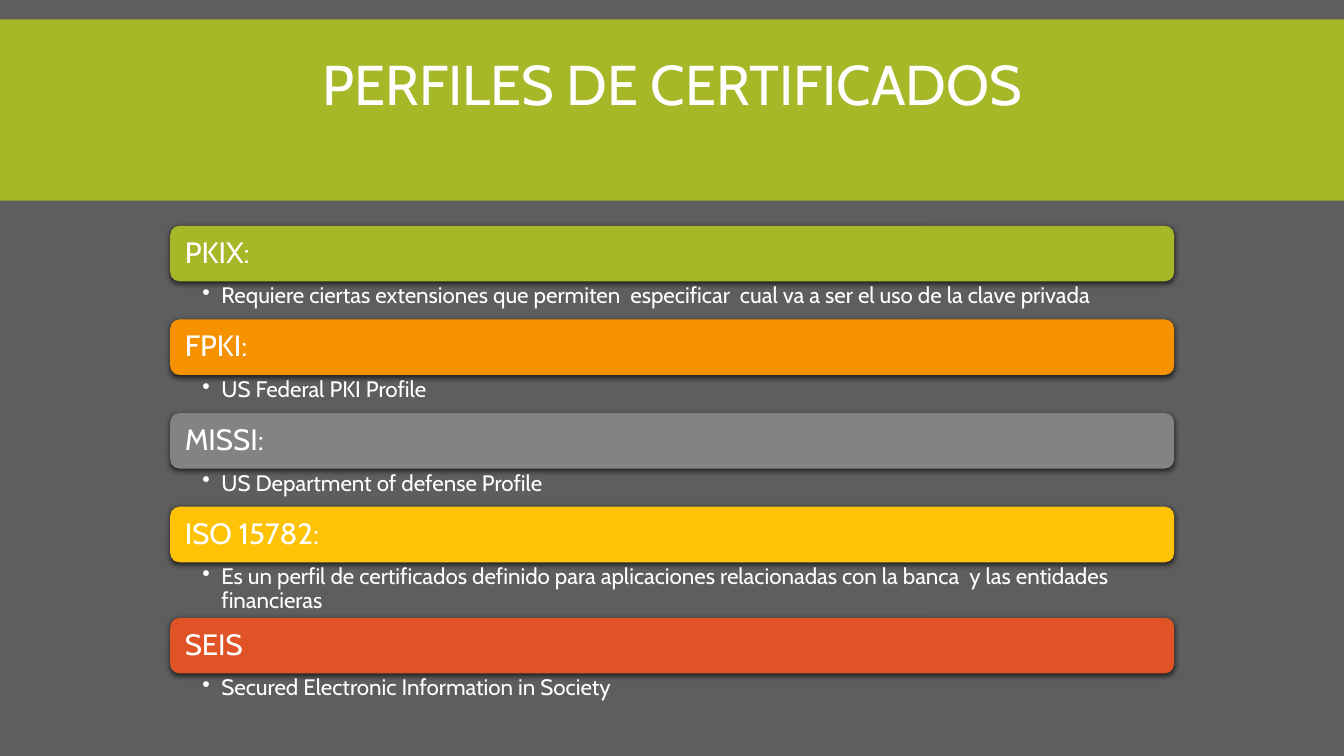
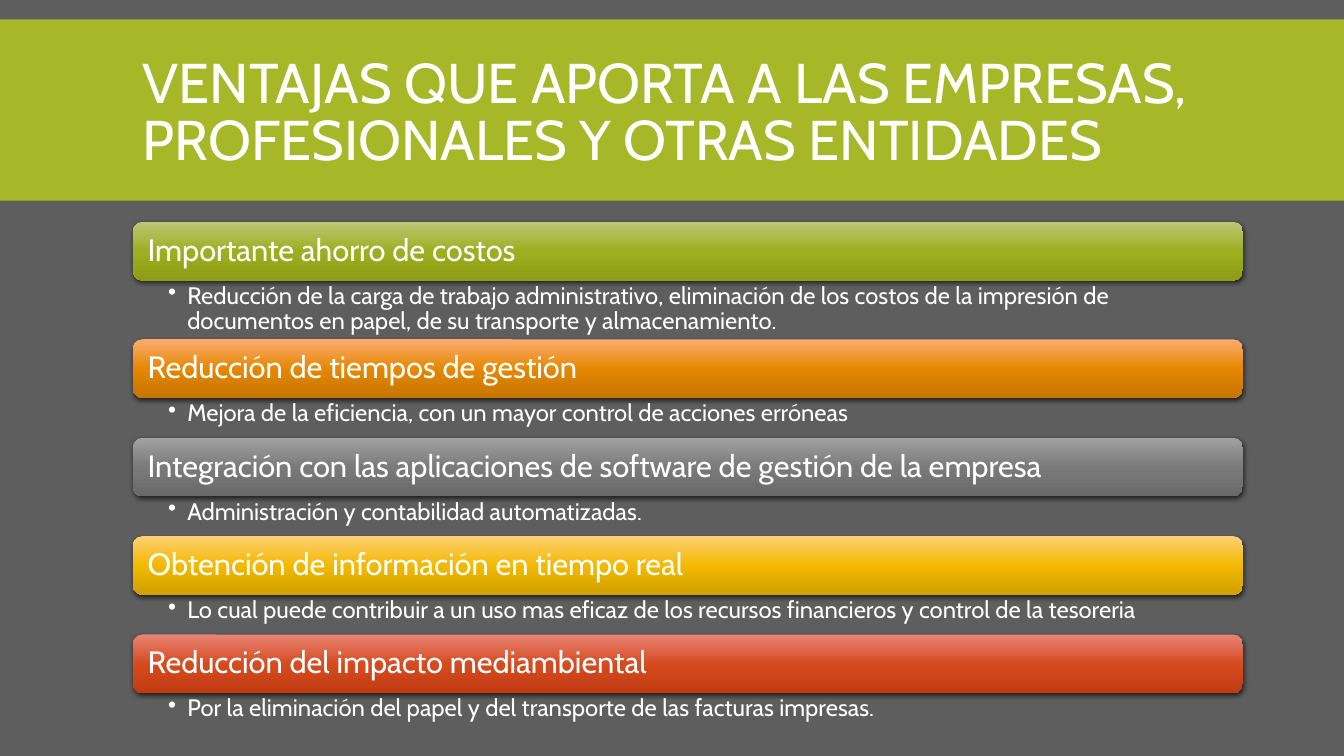
"""Two slides on certificate profiles and their business advantages."""
from copy import deepcopy
from dataclasses import dataclass

from lxml import etree
from pptx import Presentation
from pptx.dml.color import RGBColor
from pptx.enum import shapes, text
from pptx.oxml.ns import qn
from pptx.util import Cm, Pt


@dataclass(frozen=True)
class Theme:
    font: str = "Cabin"
    background: str = "5E5E5E"
    band: str = "A6B727"
    ink: str = "FFFFFF"
    title_size: int = 40
    flat: tuple = (("A6B727",), ("F69200",), ("838383",), ("FEC306",), ("DF5327",))
    glossy: tuple = (
        ("BBC975", "9DAE21", "8E9E14"),
        ("FCAC73", "E58800", "C57500"),
        ("A2A2A2", "7A7A7A", "696969"),
        ("FFD077", "F2B900", "D09F00"),
        ("E98576", "D44B20", "C13B10"),
    )


THEME = Theme()

SLIDES = [
    {
        "title": "PERFILES DE CERTIFICADOS",
        "title_box": (2.34, 1.02, 29.21, 2.41),
        "align": text.PP_ALIGN.CENTER,
        "fills": THEME.flat,
        "left": 4.29, "top": 5.69, "width": 25.3,
        "bar_height": 1.4, "note_height": 0.96,
        "note_insets": (0.81, 0.41),
        "bar_size": 21, "note_size": 16,
        "two_line_note": 3,
        "items": [
            ("PKIX:", "Requiere ciertas extensiones que permiten  especificar  cual va a ser el uso de la clave privada"),
            ("FPKI:", "US Federal PKI Profile"),
            ("MISSI:", "US Department of defense Profile"),
            ("ISO 15782:", "Es un perfil de certificados definido para aplicaciones relacionadas con la banca  y las entidades financieras"),
            ("SEIS", "Secured Electronic Information in Society"),
        ],
    },
    {
        "title": "VENTAJAS QUE APORTA A LAS EMPRESAS, PROFESIONALES Y OTRAS ENTIDADES",
        "title_box": (3.35, 0.79, 27.18, 4.19),
        "align": text.PP_ALIGN.LEFT,
        "fills": THEME.glossy,
        "left": 3.35, "top": 5.59, "width": 27.97,
        "bar_height": 1.48, "note_height": 1.0,
        "note_insets": (0.89, 0.43),
        "bar_size": 22, "note_size": 17,
        "two_line_note": 0,
        "items": [
            ("Importante ahorro de costos", "Reducción de la carga de trabajo administrativo, eliminación de los costos de la impresión de documentos en papel, de su transporte y almacenamiento."),
            ("Reducción de tiempos de gestión", "Mejora de la eficiencia, con un mayor control de acciones erróneas"),
            ("Integración con las aplicaciones de software de gestión de la empresa", "Administración y contabilidad automatizadas."),
            ("Obtención de información en tiempo real", "Lo cual puede contribuir a un uso mas eficaz de los recursos financieros y control de la tesoreria"),
            ("Reducción del impacto mediambiental", "Por la eliminación del papel y del transporte de las facturas impresas."),
        ],
    },
]


def color(value):
    return RGBColor.from_string(value)


def write(shape, content, size, anchor, insets, spacing, align=text.PP_ALIGN.LEFT, bullet=False):
    frame = shape.text_frame
    frame.text = content
    frame.word_wrap = True
    frame.auto_size = text.MSO_AUTO_SIZE.NONE
    frame.vertical_anchor = anchor
    frame.margin_left, frame.margin_top, frame.margin_right, frame.margin_bottom = map(Cm, insets)
    paragraph = frame.paragraphs[0]
    paragraph.alignment = align
    paragraph.line_spacing = spacing
    paragraph.space_before = Pt(0)
    if bullet:
        properties = paragraph._p.get_or_add_pPr()
        properties.set("marL", str(Cm(0.48)))
        properties.set("indent", str(-Cm(0.48)))
        etree.SubElement(properties, qn("a:buChar"), char="•")
    font = paragraph.runs[0].font
    font.name = THEME.font
    font.size = Pt(size)
    font.color.rgb = color(THEME.ink)


def paint(shape, colors):
    shape.line.fill.background()
    shape.shadow.inherit = False
    if len(colors) == 1:
        shape.fill.solid()
        shape.fill.fore_color.rgb = color(colors[0])
        return
    shape.fill.gradient()
    shape.fill.gradient_angle = 270
    stop_list = shape._element.spPr.find(".//" + qn("a:gsLst"))
    while len(stop_list) < len(colors):
        stop_list.append(deepcopy(stop_list[0]))
    for index, (stop, value) in enumerate(zip(shape.fill.gradient_stops, colors)):
        stop.position = index / (len(colors) - 1)
        stop.color.rgb = color(value)


def add_shadow(shape):
    effects = shape._element.spPr.find(qn("a:effectLst"))
    shadow = etree.SubElement(effects, qn("a:outerShdw"), blurRad=str(Pt(4)),
                              dist=str(Pt(1.2)), dir="5400000", rotWithShape="0")
    black = etree.SubElement(shadow, qn("a:srgbClr"), val="000000")
    etree.SubElement(black, qn("a:alpha"), val="68000")


def style_master(presentation, slide):
    master = presentation.slide_master
    master.background.fill.solid()
    master.background.fill.fore_color.rgb = color(THEME.background)
    band = slide.shapes.add_shape(shapes.MSO_SHAPE.RECTANGLE, 0, Cm(0.49),
                                  presentation.slide_width, Cm(4.57))
    paint(band, (THEME.band,))
    master.shapes._spTree.insert(2, band._element)


def add_rows(slide, content):
    left, width = Cm(content["left"]), Cm(content["width"])
    bar_height = content["bar_height"]
    inset_left, inset_right = content["note_insets"]
    top = content["top"]
    for index, ((heading, detail), colors) in enumerate(zip(content["items"], content["fills"])):
        bar = slide.shapes.add_shape(shapes.MSO_SHAPE.ROUNDED_RECTANGLE, left, Cm(top),
                                     width, Cm(bar_height))
        paint(bar, colors)
        add_shadow(bar)
        write(bar, heading, content["bar_size"], text.MSO_ANCHOR.MIDDLE, (0.3, 0.2, 0.3, 0.2), 0.9)
        top += bar_height
        note_height = bar_height if index == content["two_line_note"] else content["note_height"]
        note = slide.shapes.add_textbox(left, Cm(top), width, Cm(note_height))
        write(note, detail, content["note_size"], text.MSO_ANCHOR.TOP,
              (inset_left, 0.08, inset_right, 0.08), 0.9, bullet=True)
        top += note_height


def main():
    presentation = Presentation()
    presentation.slide_width, presentation.slide_height = Cm(33.87), Cm(19.05)
    title_only = presentation.slide_layouts[5]
    for index, content in enumerate(SLIDES):
        slide = presentation.slides.add_slide(title_only)
        if index == 0:
            style_master(presentation, slide)
        title = slide.shapes.title
        title.left, title.top, title.width, title.height = map(Cm, content["title_box"])
        write(title, content["title"], THEME.title_size, text.MSO_ANCHOR.MIDDLE,
              (0.25, 0.13, 0.25, 0.13), 0.85, content["align"])
        add_rows(slide, content)
    presentation.save("out.pptx")


if __name__ == "__main__":
    main()
